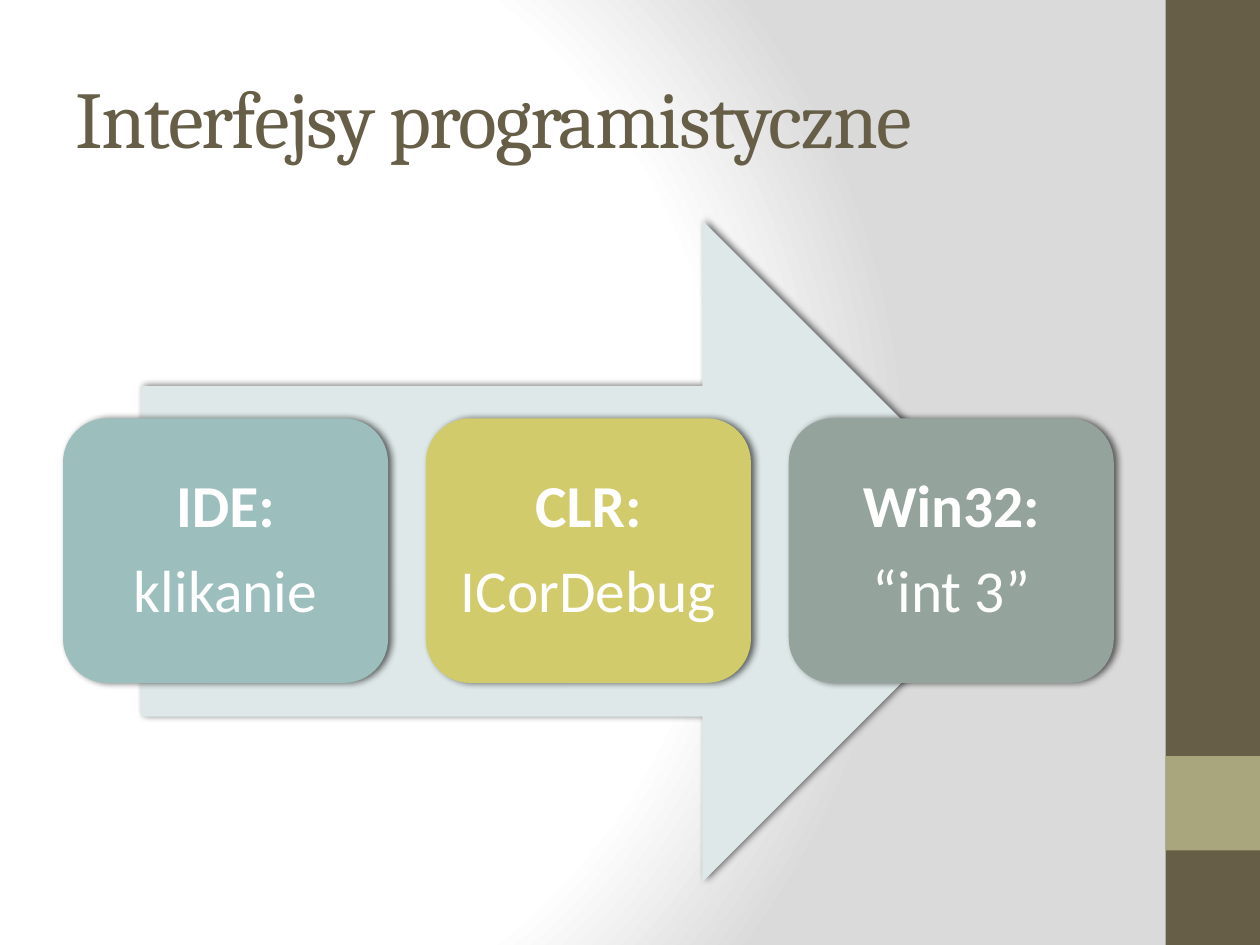
from pptx import Presentation
from pptx.dml.color import RGBColor
from pptx.enum.shapes import MSO_SHAPE
from pptx.enum.text import MSO_ANCHOR, PP_ALIGN
from pptx.oxml import parse_xml
from pptx.oxml.ns import nsdecls, qn
from pptx.util import Inches, Pt

HUES = {
    "white": "FFFFFF", "gray": "DADADA", "black": "000000",
    "brown": "675E47", "olive": "A9A57C", "pale": "DEE8E8",
    "teal": "9CBEBD", "lime": "D2CB6C", "sage": "95A39D",
}
STEPS = [
    ("IDE:", "klikanie", "teal"),
    ("CLR:", "ICorDebug", "lime"),
    ("Win32:", "“int 3”", "sage"),
]
LEFT, PITCH = 0.5, 2.88
MARGINS = ("margin_left", "margin_top", "margin_right", "margin_bottom")


def apply(item, **values):
    """Set each named attribute on an object."""
    for name, value in values.items():
        setattr(item, name, value)


def tint(name):
    """Return the named colour."""
    return RGBColor.from_string(HUES[name])


def paint(slide):
    """Give the slide its radial gradient background."""
    slide.background.fill.gradient()
    old = slide.element.find(".//" + qn("a:gradFill"))
    stops = "".join(
        f'<a:gs pos="{pos * 1000}"><a:srgbClr val="{HUES[hue]}"/></a:gs>'
        for pos, hue in ((0, "white"), (75, "white"), (100, "gray"))
    )
    new = parse_xml(
        f'<a:gradFill {nsdecls("a")} rotWithShape="1"><a:gsLst>{stops}</a:gsLst>'
        '<a:path path="circle"><a:fillToRect l="20000" t="50000" r="100000" b="50000"/>'
        "</a:path></a:gradFill>"
    )
    old.getparent().replace(old, new)


def block(slide, kind, box, hue, shade=False):
    """Add a filled shape, with a soft shadow on request."""
    shape = slide.shapes.add_shape(kind, *map(Inches, box))
    shape.fill.solid()
    shape.fill.fore_color.rgb = tint(hue)
    shape.line.fill.background()
    shape.shadow.inherit = False
    if shade:
        shape.element.spPr.find(qn("a:effectLst")).append(parse_xml(
            f'<a:outerShdw {nsdecls("a")} blurRad="{Pt(4)}" dist="{Pt(2)}" dir="0" '
            f'rotWithShape="0"><a:srgbClr val="{HUES["black"]}">'
            '<a:alpha val="60000"/></a:srgbClr></a:outerShdw>'
        ))
    return shape


def write(par, text, hue, **values):
    """Add a coloured run to a paragraph."""
    run = par.add_run()
    run.text = text
    apply(run.font, **values)
    run.font.color.rgb = tint(hue)
    return run


def title(slide, text):
    """Add the slide title."""
    frame = slide.shapes.add_textbox(*map(Inches, (0.5, 0.3, 8.33, 1.25))).text_frame
    apply(frame, word_wrap=True, vertical_anchor=MSO_ANCHOR.MIDDLE)
    run = write(frame.paragraphs[0], text, "brown", name="Cambria", size=Pt(46))
    run.font._element.set("spc", "-100")


def card(slide, left, head, body, hue):
    """Add a rounded step with a bold heading and a plain line."""
    box = (left, 3.32, 2.58, 2.1)
    frame = block(slide, MSO_SHAPE.ROUNDED_RECTANGLE, box, hue, True).text_frame
    apply(frame, word_wrap=True, vertical_anchor=MSO_ANCHOR.MIDDLE,
          **dict.fromkeys(MARGINS, Inches(0.14)))
    for par, text, bold in ((frame.paragraphs[0], head, True),
                            (frame.add_paragraph(), body, False)):
        apply(par, alignment=PP_ALIGN.CENTER, line_spacing=0.9, space_after=Pt(12))
        write(par, text, "white", name="Calibri", size=Pt(34), bold=bold)


def main():
    """Build and save the slide."""
    deck = Presentation()
    apply(deck, slide_width=Inches(10), slide_height=Inches(7.5))
    slide = deck.slides.add_slide(deck.slide_layouts[6])
    paint(slide)
    block(slide, MSO_SHAPE.RECTANGLE, (9.25, 0, 0.75, 7.5), "brown")
    block(slide, MSO_SHAPE.RECTANGLE, (9.25, 6, 0.75, 0.75), "olive")
    title(slide, "Interfejsy programistyczne")
    block(slide, MSO_SHAPE.RIGHT_ARROW, (1.12, 1.75, 7.08, 5.25), "pale", True)
    for index, step in enumerate(STEPS):
        card(slide, LEFT + index * PITCH, *step)
    deck.save("out.pptx")


if __name__ == "__main__":
    main()
